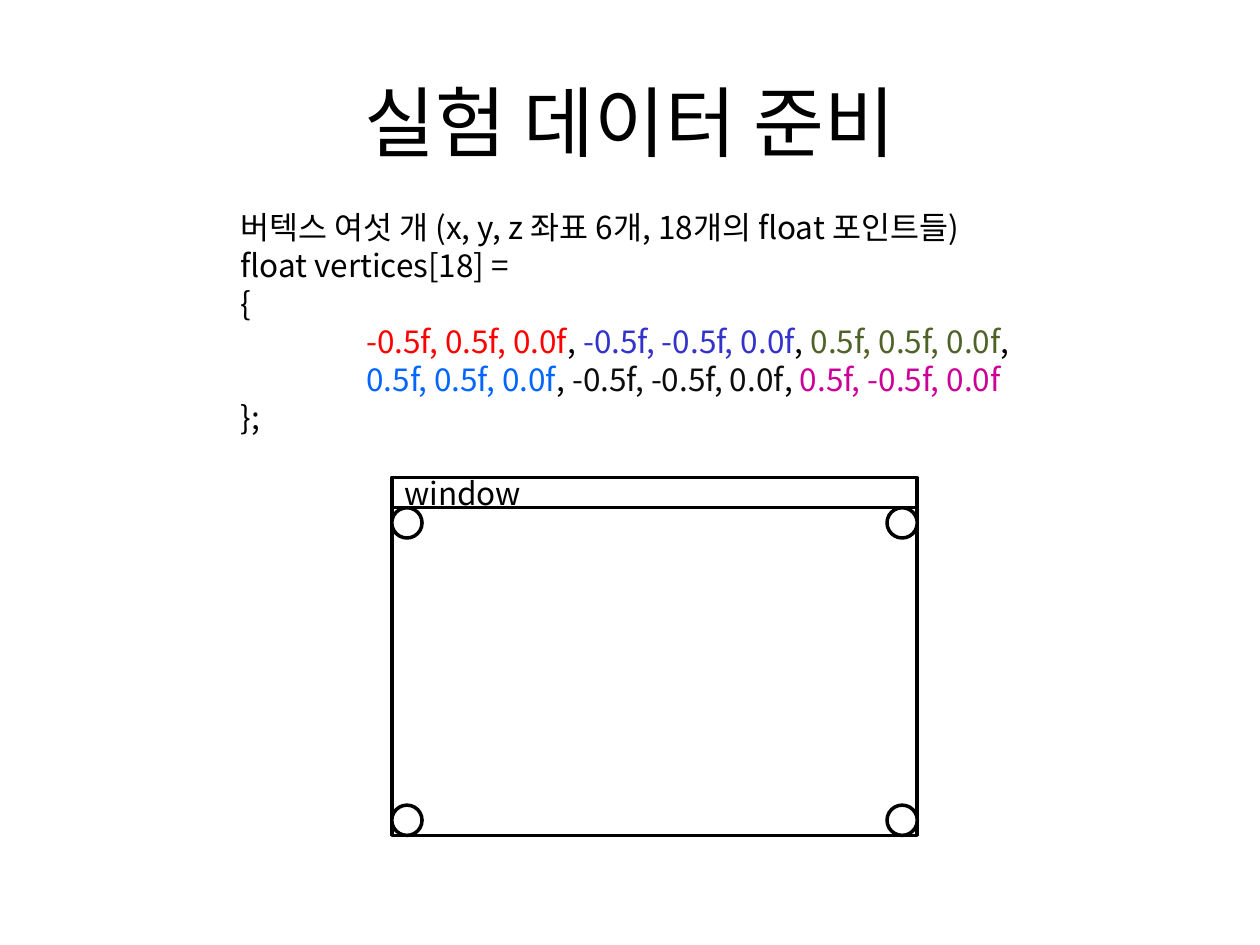
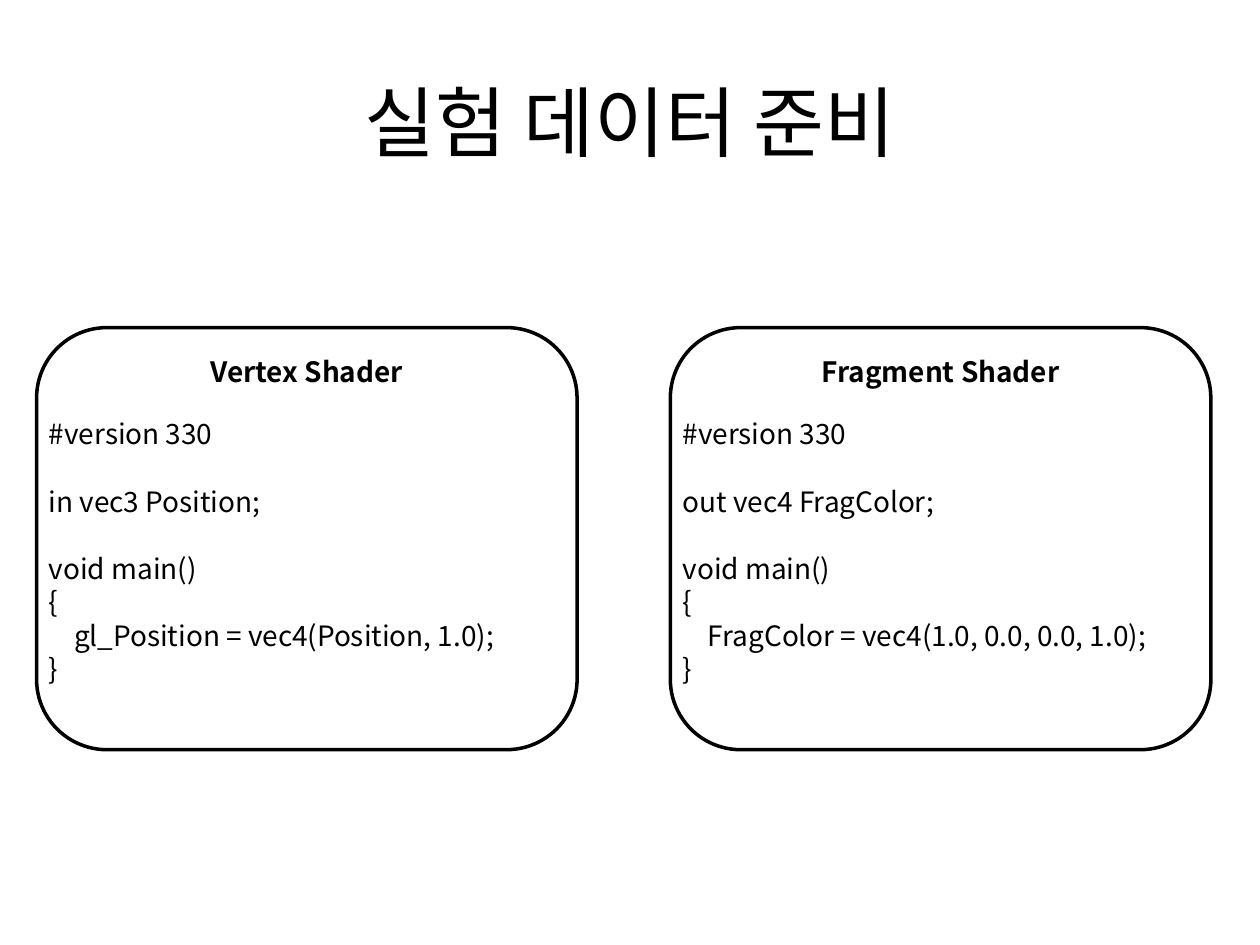
from pptx import Presentation
from pptx.dml.color import RGBColor
from pptx.enum.shapes import MSO_SHAPE
from pptx.enum.text import MSO_ANCHOR, PP_ALIGN
from pptx.oxml.xmlchemy import OxmlElement
from pptx.util import Inches, Pt

FONT = "Noto Sans CJK KR"
BLACK, WHITE = "000000", "FFFFFF"
TITLE = "실험 데이터 준비"

prs = Presentation()
prs.slide_width, prs.slide_height = Inches(10), Inches(7.5)


def write(shape, lines, size, spacing, align=PP_ALIGN.LEFT,
          anchor=MSO_ANCHOR.TOP, bold=False):
    """Each line is (runs, indent in inches, space before in points)."""
    frame = shape.text_frame
    frame.word_wrap = True
    frame.vertical_anchor = anchor
    for i, (runs, indent, before) in enumerate(lines):
        para = frame.paragraphs[0] if i == 0 else frame.add_paragraph()
        para.alignment = align
        para.line_spacing = Pt(spacing)
        para.space_before = Pt(before)
        para._p.get_or_add_pPr().set("marL", str(Inches(indent)))
        for text, color in runs:
            run = para.add_run()
            run.text = text
            run.font.size, run.font.bold = Pt(size), bold
            run.font.color.rgb = RGBColor.from_string(color)
            run.font.name = FONT
            east_asian = OxmlElement("a:ea")
            east_asian.set("typeface", FONT)
            run.font._element.append(east_asian)


def outlined(slide, kind, left, top, width, height):
    shape = slide.shapes.add_shape(
        kind, Inches(left), Inches(top), Inches(width), Inches(height))
    shape.shadow.inherit = False
    shape.fill.solid()
    shape.fill.fore_color.rgb = RGBColor.from_string(WHITE)
    shape.line.color.rgb = RGBColor.from_string(BLACK)
    shape.line.width = Pt(2)
    return shape


# Both slides carry the same title
slides = []
for _ in range(2):
    slide = prs.slides.add_slide(prs.slide_layouts[6])
    title = slide.shapes.add_textbox(
        Inches(0.5), Inches(0.3), Inches(9), Inches(1.25))
    write(title, [([(TITLE, BLACK)], 0, 0)], 44, 58,
          PP_ALIGN.CENTER, MSO_ANCHOR.MIDDLE)
    slides.append(slide)
data_slide, shader_slide = slides

# Slide 1: vertex array, one colour per vertex
comma = (", ", BLACK)
vertex_lines = [
    ([("버텍스 여섯 개 (x, y, z 좌표 6개, 18개의 float 포인트들)", BLACK)], 0, 0),
    ([("float vertices[18] =", BLACK)], 0, 0),
    ([("{", BLACK)], 0, 0),
    ([("-0.5f, 0.5f, 0.0f", "FF0000"), comma,
      ("-0.5f, -0.5f, 0.0f", "3333CC"), comma,
      ("0.5f, 0.5f, 0.0f", "4F6228"), (",", BLACK)], 1, 0),
    ([("0.5f, 0.5f, 0.0f", "0066FF"), comma,
      ("-0.5f, -0.5f, 0.0f", "0D0D0D"), comma,
      ("0.5f, -0.5f, 0.0f", "CC0099")], 1, 0),
    ([("};", BLACK)], 0, 0),
]
code = data_slide.shapes.add_textbox(
    Inches(1.81), Inches(1.6), Inches(6.77), Inches(1.92))
write(code, vertex_lines, 18, 21.7)

# Window with a title bar and a marker in each corner
left, top, width, height, marker = 3.11, 4.03, 4.17, 2.6, 0.24
outlined(data_slide, MSO_SHAPE.RECTANGLE, left, top, width, height)
for x in (left, left + width - marker):
    for y in (top, top + height - marker):
        outlined(data_slide, MSO_SHAPE.OVAL, x, y, marker, marker)
bar = outlined(data_slide, MSO_SHAPE.RECTANGLE,
               left, top - marker, width, marker)
write(bar, [([("window", BLACK)], 0, 0)], 18, 21.7, anchor=MSO_ANCHOR.MIDDLE)

# Slide 2: the two shaders side by side
LINE = 19.2
shaders = [
    (0.29, "Vertex Shader", "in vec3 Position;",
     "gl_Position = vec4(Position, 1.0);"),
    (5.32, "Fragment Shader", "out vec4 FragColor;",
     "FragColor = vec4(1.0, 0.0, 0.0, 1.0);"),
]
for left, name, declaration, statement in shaders:
    panel = outlined(shader_slide, MSO_SHAPE.ROUNDED_RECTANGLE,
                     left, 2.6, 4.29, 3.35)
    write(panel, [([(name, BLACK)], 0, 0)], 16, LINE,
          PP_ALIGN.CENTER, bold=True)
    source = [("#version 330", 0, 0), (declaration, 0, LINE),
              ("void main()", 0, LINE), ("{", 0, 0),
              (statement, 0.2, 0), ("}", 0, 0)]
    body = shader_slide.shapes.add_textbox(
        Inches(left), Inches(3.26), Inches(4.29), Inches(2.26))
    write(body, [([(text, BLACK)], indent, before)
                 for text, indent, before in source], 16, LINE)

prs.save("out.pptx")
